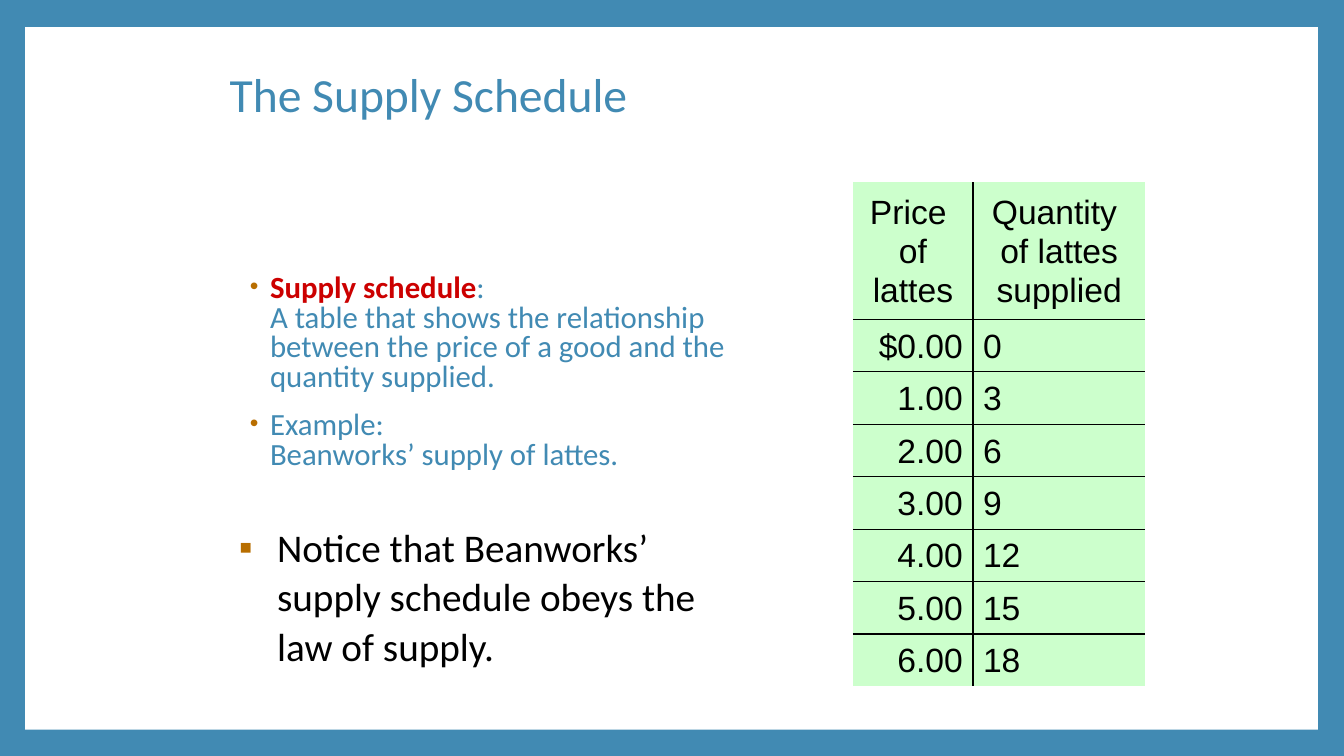
from lxml import etree
from pptx import Presentation
from pptx.dml.color import RGBColor
from pptx.enum.shapes import MSO_SHAPE
from pptx.enum.text import MSO_ANCHOR, PP_ALIGN
from pptx.oxml.ns import qn
from pptx.util import Inches, Pt

RECTANGLE = MSO_SHAPE.RECTANGLE
TOP, MIDDLE = MSO_ANCHOR.TOP, MSO_ANCHOR.MIDDLE
LEFT, CENTER, RIGHT = PP_ALIGN.LEFT, PP_ALIGN.CENTER, PP_ALIGN.RIGHT

COLORS = {"blue": "418AB3", "white": "FFFFFF", "red": "CC0000",
          "amber": "B86E00", "black": "000000", "green": "CCFFCC"}
PLAIN_TABLE_STYLE = "{2D5ABB26-0587-4C30-8999-92F81FD0307C}"

DOT = {"char": "•", "size": 80, "margin": 0.25, "indent": -0.2}
SQUARE = {"char": "▪", "size": 100, "margin": 0.38, "indent": -0.38}
TITLE = {"name": "Calibri", "size": 34, "color": "blue"}
BODY = {"name": "Calibri", "size": 22, "color": "blue"}
TERM = {**BODY, "color": "red", "bold": True}
NOTICE = {"name": "Calibri", "size": 28, "color": "black"}
CELL = {"name": "Arial", "size": 24, "color": "black"}

TEXT_BOXES = [
    {"at": (2.18, 0.47, 9.5, 0.99), "anchor": MIDDLE, "spacing": 0.9, "before": 0,
     "bullet": None, "paragraphs": [[("The Supply Schedule", TITLE)]]},
    {"at": (2.33, 2.68, 5.58, 2.28), "anchor": TOP, "spacing": 0.8, "before": 13.2,
     "bullet": DOT, "paragraphs": [
         [("Supply schedule", TERM),
          (":\nA table that shows the relationship between the price of a good "
           "and the quantity supplied.", BODY)],
         [("Example:\nBeanworks’ supply of lattes.", BODY)]]},
    {"at": (2.27, 5.12, 5.29, 1.7), "anchor": TOP, "spacing": 1.05, "before": 0,
     "bullet": SQUARE, "paragraphs": [
         [("Notice that Beanworks’ supply schedule obeys the\nlaw of supply.", NOTICE)]]},
]

SCHEDULE = [("Price \nof lattes", "Quantity \nof lattes supplied"),
            ("$0.00", "0"), ("1.00", "3"), ("2.00", "6"), ("3.00", "9"),
            ("4.00", "12"), ("5.00", "15"), ("6.00", "18")]
COLUMN_WIDTHS = (1.19, 1.71)
HEADER_HEIGHT, ROW_HEIGHT = 1.27, 0.49
TABLE_LEFT, TABLE_TOP = 8.46, 1.81


def rgb(name):
    return RGBColor.from_string(COLORS[name])


def add_color(parent, name):
    etree.SubElement(parent, qn("a:srgbClr"), val=COLORS[name])


def add_bullet(para, bullet):
    properties = para._p.get_or_add_pPr()
    properties.set("marL", str(Inches(bullet["margin"])))
    properties.set("indent", str(Inches(bullet["indent"])))
    add_color(etree.SubElement(properties, qn("a:buClr")), "amber")
    etree.SubElement(properties, qn("a:buSzPct"), val=str(bullet["size"] * 1000))
    etree.SubElement(properties, qn("a:buFont"), typeface="Arial")
    etree.SubElement(properties, qn("a:buChar"), char=bullet["char"])


def add_text(para, text, style):
    for index, line in enumerate(text.split("\n")):
        if index:
            para.add_line_break()
        span = para.add_run()
        span.text = line
        for key, value in style.items():
            if key == "color":
                span.font.color.rgb = rgb(value)
            else:
                setattr(span.font, key, Pt(value) if key == "size" else value)


def add_text_box(page, content):
    box = page.shapes.add_textbox(*map(Inches, content["at"]))
    frame = box.text_frame
    frame.word_wrap = True
    frame.vertical_anchor = content["anchor"]
    for index, spans in enumerate(content["paragraphs"]):
        para = frame.add_paragraph() if index else frame.paragraphs[0]
        if content["bullet"]:
            add_bullet(para, content["bullet"])
        para.line_spacing = content["spacing"]
        if index:
            para.space_before = Pt(content["before"])
        for text, style in spans:
            add_text(para, text, style)


def add_border(cell, side):
    line = etree.SubElement(cell._tc.get_or_add_tcPr(), qn(f"a:ln{side}"), w=str(Pt(1)))
    add_color(etree.SubElement(line, qn("a:solidFill")), "black")


def add_schedule(page):
    heights = [HEADER_HEIGHT] + [ROW_HEIGHT] * (len(SCHEDULE) - 1)
    size = (sum(COLUMN_WIDTHS), sum(heights))
    graphic = page.shapes.add_table(len(SCHEDULE), len(COLUMN_WIDTHS),
                                    *map(Inches, (TABLE_LEFT, TABLE_TOP, *size)))
    table = graphic.table
    table.first_row = table.horz_banding = False
    table._tbl.tblPr.find(qn("a:tableStyleId")).text = PLAIN_TABLE_STYLE
    for column, width in zip(table.columns, COLUMN_WIDTHS):
        column.width = Inches(width)
    for row_index, values in enumerate(SCHEDULE):
        table.rows[row_index].height = Inches(heights[row_index])
        for column_index, value in enumerate(values):
            cell = table.cell(row_index, column_index)
            inner_sides = {"L": column_index > 0,
                           "R": column_index < len(values) - 1,
                           "T": row_index > 0,
                           "B": row_index < len(SCHEDULE) - 1}
            for side, inner in inner_sides.items():
                if inner:
                    add_border(cell, side)
            cell.fill.solid()
            cell.fill.fore_color.rgb = rgb("green")
            cell.vertical_anchor = MIDDLE
            para = cell.text_frame.paragraphs[0]
            para.alignment = (RIGHT, LEFT)[column_index] if row_index else CENTER
            para.line_spacing = 1.05
            add_text(para, value, CELL)


def main():
    deck = Presentation()
    deck.slide_width, deck.slide_height = Inches(13.33), Inches(7.5)
    page = deck.slides.add_slide(deck.slide_layouts[6])
    page.background.fill.solid()
    page.background.fill.fore_color.rgb = rgb("blue")
    panel = page.shapes.add_shape(RECTANGLE, *map(Inches, (0.25, 0.27, 12.82, 6.97)))
    panel.shadow.inherit = False
    panel.fill.solid()
    panel.fill.fore_color.rgb = rgb("white")
    panel.line.fill.background()
    for content in TEXT_BOXES:
        add_text_box(page, content)
    add_schedule(page)
    deck.save("out.pptx")


if __name__ == "__main__":
    main()
